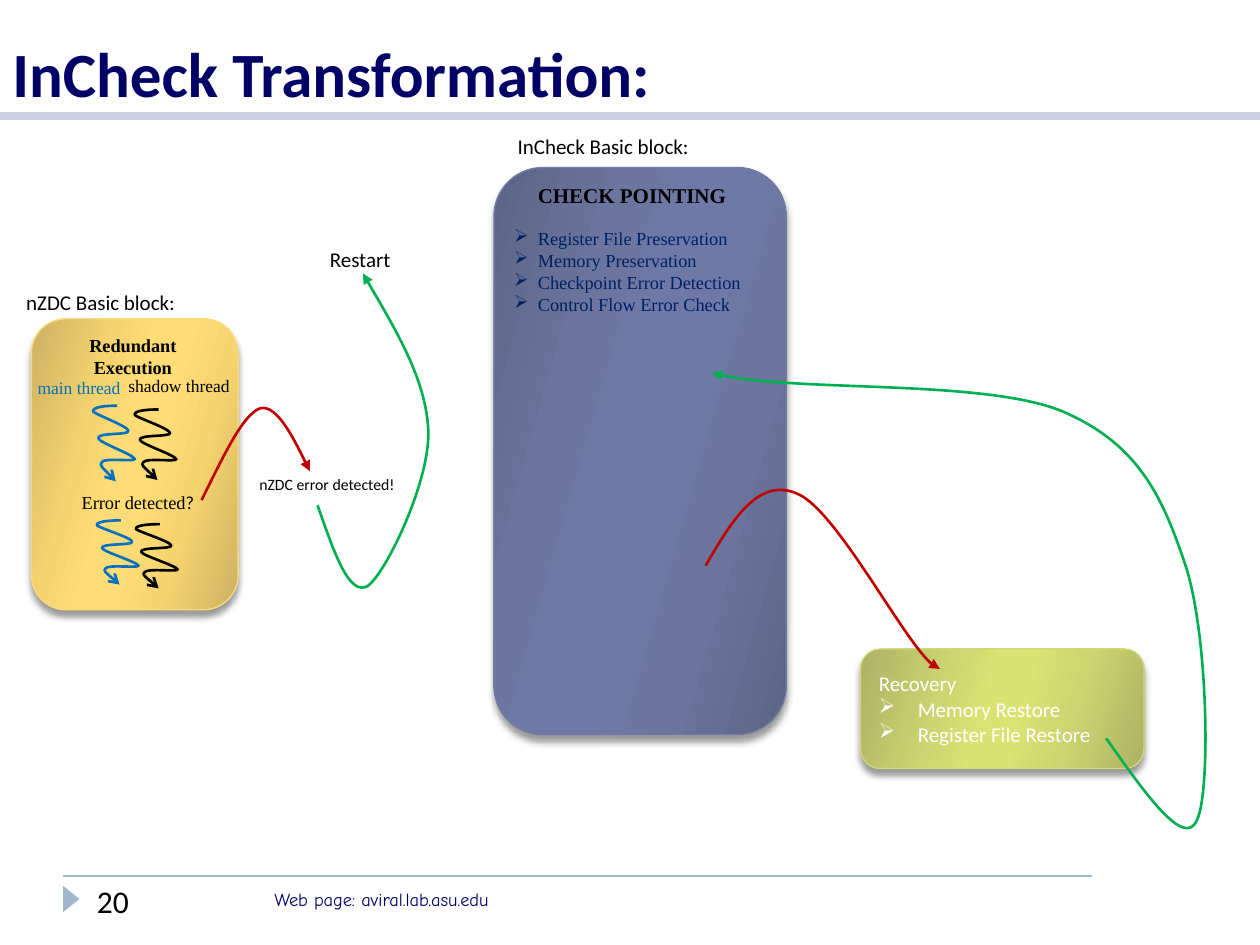
import pptx
import pptx.util
import pptx.dml.color
import pptx.enum.shapes
import pptx.enum.text
import pptx.oxml.ns
from lxml import etree

Inches = pptx.util.Inches
Pt = pptx.util.Pt
RGBColor = pptx.dml.color.RGBColor
MSO_SHAPE = pptx.enum.shapes.MSO_SHAPE
ANCHOR = pptx.enum.text.MSO_ANCHOR
ALIGN = pptx.enum.text.PP_ALIGN
qn = pptx.oxml.ns.qn

NAVY = RGBColor(0x00, 0x00, 0x66)
INK = RGBColor(0x00, 0x20, 0x60)
BLACK = RGBColor(0x00, 0x00, 0x00)
WHITE = RGBColor(0xFF, 0xFF, 0xFF)
BLUE = RGBColor(0x00, 0x70, 0xC0)
RED = RGBColor(0xC0, 0x00, 0x00)
GREEN = RGBColor(0x00, 0xB0, 0x50)
RULE = RGBColor(0x9F, 0xB8, 0xCD)
TITLE_RULE = RGBColor(0xCC, 0xD0, 0xE0)
# Each card palette: edge, middle and centre of the gradient, then the outline
SLATE = [RGBColor.from_string(c) for c in ("5D6585", "6B759E", "6E79A7", "727CA3")]
GOLD = [RGBColor.from_string(c) for c in ("CDB264", "F5D36E", "FFDC75", "FADA7A")]
LIME = [RGBColor.from_string(c) for c in ("ACB264", "CCD570", "D9E371", "D2DA7A")]

SERIF = "Times New Roman"
SANS = "Calibri"

# Wavy thread, start point then Bezier control points, in a 0.33 x 0.51 box
THREAD_HEIGHT = 0.51
THREAD = [(0.19, 0), (0.09, 0), (-0.01, 0.01), (0, 0.04),
          (0.02, 0.06), (0.28, 0.14), (0.28, 0.17),
          (0.29, 0.2), (0.03, 0.18), (0.04, 0.22),
          (0.05, 0.25), (0.32, 0.33), (0.33, 0.36),
          (0.33, 0.38), (0.09, 0.35), (0.07, 0.38),
          (0.04, 0.4), (0.18, 0.51), (0.18, 0.51)]


def sub(parent, tag, **attrs):
    el = etree.SubElement(parent, qn(tag))
    for key, value in attrs.items():
        el.set(key, str(value))
    return el


def style(item, size, color, font=SANS, bold=False):
    f = item.font
    f.size, f.name, f.bold = Pt(size), font, bold
    f.color.rgb = color


def write(tf, lines, size, color, font=SANS, bold=False, align=ALIGN.LEFT):
    tf.text = "\n".join(lines)
    for p in tf.paragraphs:
        p.alignment = align
        for r in p.runs:
            style(r, size, color, font, bold)


def add_text(slide, box, lines, size, color=BLACK, font=SANS, bold=False,
             align=ALIGN.LEFT, anchor=ANCHOR.TOP, wrap=True):
    tf = slide.shapes.add_textbox(*map(Inches, box)).text_frame
    tf.word_wrap = wrap
    tf.vertical_anchor = anchor
    write(tf, lines, size, color, font, bold, align)
    return tf


def add_bullets(paragraphs, indent):
    for p in paragraphs:
        pPr = p._p.get_or_add_pPr()
        pPr.set("marL", str(Inches(indent)))
        pPr.set("indent", str(-Inches(indent)))
        sub(pPr, "a:buChar", char="➢")


def add_rule(slide, x1, x2, y, color, width):
    s = slide.shapes.add_connector(pptx.enum.shapes.MSO_CONNECTOR.STRAIGHT,
                                   Inches(x1), Inches(y), Inches(x2), Inches(y))
    s.line.color.rgb = color
    s.line.width = Pt(width)
    sub(s._element.spPr, "a:effectLst")


def add_card(slide, box, palette):
    """Rounded card with a mirrored gradient and a soft shadow below."""
    edge, middle, centre, outline = palette
    s = slide.shapes.add_shape(MSO_SHAPE.ROUNDED_RECTANGLE, *map(Inches, box))
    s.fill.gradient()
    s.fill.gradient_angle = 344
    stops = s._element.spPr.find(".//" + qn("a:gsLst"))
    for gs in list(stops):
        stops.remove(gs)
    for pos, color in zip((0, 30, 45, 55, 73, 100),
                          (edge, middle, centre, centre, middle, edge)):
        sub(sub(stops, "a:gs", pos=pos * 1000), "a:srgbClr", val=color)
    s.line.color.rgb = outline
    s.line.width = Pt(0.75)
    s.shadow.inherit = False
    shadow = sub(s._element.spPr.find(qn("a:effectLst")), "a:outerShdw",
                 blurRad=Pt(4), dist=Pt(3.4), dir=90 * 60000, rotWithShape=0)
    sub(sub(shadow, "a:srgbClr", val="000000"), "a:alpha", val=40000)
    return s


def add_curve(slide, points, color, head="triangle"):
    """Arrow along a start point followed by triples of Bezier control points."""
    pts = [(Inches(x), Inches(y)) for x, y in points]
    fb = slide.shapes.build_freeform(*pts[0])
    fb.add_line_segments(pts[1:], close=False)
    s = fb.convert_to_shape()
    outline = s._element.spPr.find(".//" + qn("a:path"))
    segments = outline.findall(qn("a:lnTo"))
    for i in range(0, len(segments), 3):
        curve = sub(outline, "a:cubicBezTo")
        for seg in segments[i:i + 3]:
            curve.append(seg[0])
            outline.remove(seg)
    s.fill.background()
    s.line.color.rgb = color
    s.line.width = Pt(1.5)
    s.shadow.inherit = False
    sub(s.line._get_or_add_ln(), "a:tailEnd", type=head)


def add_thread(slide, x, y, height, color):
    k = height / THREAD_HEIGHT
    add_curve(slide, [(x + dx, y + dy * k) for dx, dy in THREAD], color, "arrow")


def add_frame(slide, width):
    """Title and footer."""
    add_rule(slide, 0.5, 8.67, 6.95, RULE, 1)
    add_rule(slide, 0, width, 0.92, TITLE_RULE, 5)
    s = slide.shapes.add_shape(MSO_SHAPE.ISOSCELES_TRIANGLE,
                               *map(Inches, (0.46, 7.07, 0.21, 0.13)))
    s.rotation = 90
    s.fill.solid()
    s.fill.fore_color.rgb = RULE
    s.line.fill.background()
    s.shadow.inherit = False
    add_text(slide, (0, 0, width, 0.92), ["InCheck Transformation:"], 36, NAVY,
             bold=True, anchor=ANCHOR.BOTTOM)
    add_text(slide, (2.08, 7, 3.75, 0.28), ["Web page: aviral.lab.asu.edu"],
             10.5, NAVY, "Comic Neue")
    add_text(slide, (0.67, 6.95, 1.41, 0.4), ["20"], 18)


def add_incheck_block(slide, x, y, w, h):
    add_text(slide, (x + 0.09, y - 0.32, 1.66, 0.3), ["InCheck Basic block:"], 12,
             wrap=False)
    add_card(slide, (x, y, w, h), SLATE)
    add_text(slide, (x + 0.25, y + 0.07, 2, 0.3), ["CHECK POINTING"], 12,
             font=SERIF, bold=True)
    tf = add_text(slide, (x + 0.09, y + 0.37, 2.14, 0.91),
                  ["Register File Preservation", "Memory Preservation",
                   "Checkpoint Error Detection", "Control Flow Error Check"],
                  10.5, INK, SERIF, anchor=ANCHOR.MIDDLE)
    tf.margin_left = tf.margin_right = Inches(0.07)
    tf.margin_top = tf.margin_bottom = Inches(0.04)
    add_bullets(tf.paragraphs, 0.19)


def add_nzdc_block(slide, x, y, w, h):
    add_card(slide, (x, y, w, h), GOLD)
    add_text(slide, (x - 0.14, y - 0.28, 1.48, 0.3), ["nZDC Basic block:"], 12,
             wrap=False)
    add_text(slide, (x + 0.15, y + 0.07, 1.31, 0.45), ["Redundant Execution"], 10.5,
             font=SERIF, bold=True, align=ALIGN.CENTER)
    add_text(slide, (x - 0.05, y + 0.41, 0.88, 0.27), ["main thread"], 10, BLUE, SERIF)
    add_text(slide, (x + 0.67, y + 0.4, 1.02, 0.27), ["shadow thread"], 10,
             font=SERIF, wrap=False)
    tf = add_text(slide, (x + 0.3, y + 1.32, 1.45, 0.28), ["Error detected"], 10.5,
                  font=SERIF)
    r = tf.paragraphs[0].add_run()
    r.text = "?"
    style(r, 10.5, BLACK)
    for dx, dy, height, color in ((0.49, 0.69, 0.6, BLUE), (0.82, 0.72, 0.56, BLACK),
                                  (0.52, 1.6, 0.51, BLUE), (0.83, 1.63, 0.51, BLACK)):
        add_thread(slide, x + dx, y + dy, height, color)


def add_recovery(slide, x, y, w, h):
    tf = add_card(slide, (x, y, w, h), LIME).text_frame
    tf.word_wrap = True
    tf.vertical_anchor = ANCHOR.MIDDLE
    write(tf, ["Recovery", "Memory Restore", "Register File Restore"], 12, WHITE)
    add_bullets(tf.paragraphs[1:], 0.31)


def add_flows(slide):
    """Error arrows in red, restart and recovery arrows in green."""
    add_text(slide, (1.96, 3.72, 1.37, 0.25), ["nZDC error detected!"], 9, wrap=False)
    add_text(slide, (2.52, 1.91, 0.7, 0.3), ["Restart"], 12, wrap=False)
    add_curve(slide, [(1.6, 3.97), (1.77, 3.63), (1.93, 3.28), (2.07, 3.24),
                      (2.21, 3.21), (2.46, 3.74), (2.46, 3.74)], RED)
    add_curve(slide, [(2.52, 4.01), (2.65, 4.38), (2.77, 4.74), (2.92, 4.65),
                      (3.06, 4.55), (3.4, 3.85), (3.4, 3.44),
                      (3.39, 3.03), (3.13, 2.6), (2.88, 2.17)], GREEN)
    add_curve(slide, [(5.6, 4.49), (5.81, 4.13), (6.02, 3.78), (6.33, 3.92),
                      (6.64, 4.05), (7.27, 5.28), (7.46, 5.31)], RED)
    add_curve(slide, [(8.78, 5.86), (9.09, 6.3), (9.4, 6.74), (9.5, 6.51),
                      (9.61, 6.29), (9.59, 5.04), (9.41, 4.49),
                      (9.23, 3.95), (9.04, 3.52), (8.42, 3.26),
                      (7.79, 3.01), (6.23, 3.12), (5.65, 2.96)], GREEN)


def main():
    prs = pptx.Presentation()
    prs.slide_width, prs.slide_height = Inches(10), Inches(7.5)
    slide = prs.slides.add_slide(prs.slide_layouts[6])
    add_frame(slide, 10)
    add_incheck_block(slide, 3.92, 1.33, 2.32, 4.5)
    add_nzdc_block(slide, 0.25, 2.53, 1.64, 2.31)
    add_recovery(slide, 6.83, 5.15, 2.25, 0.95)
    add_flows(slide)
    prs.save("out.pptx")


if __name__ == "__main__":
    main()
